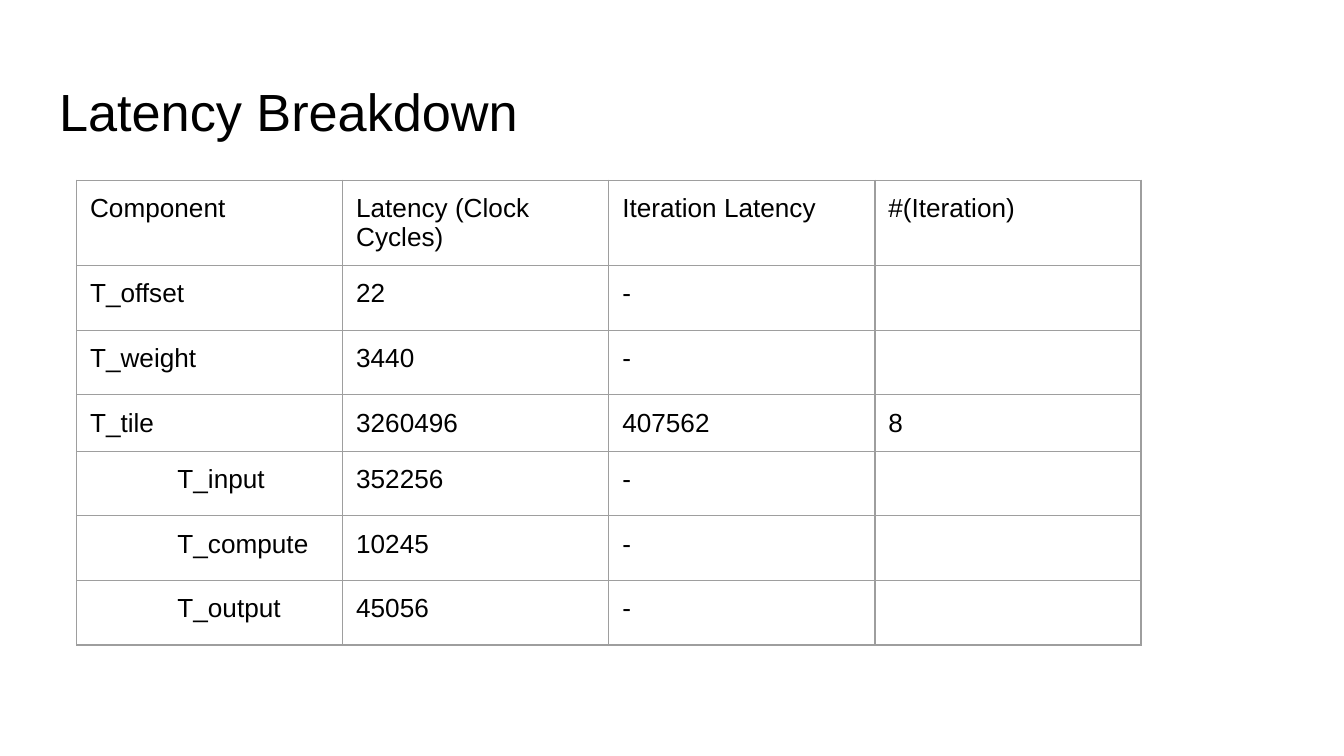
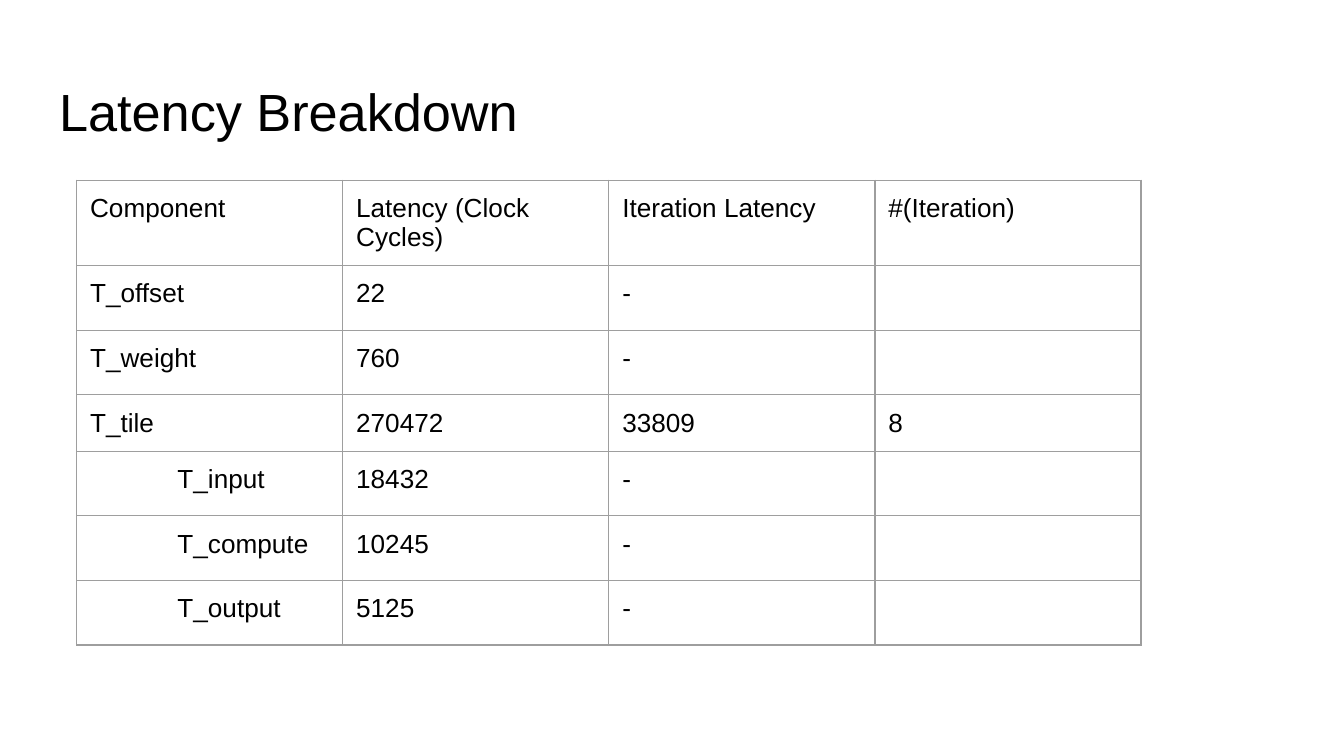
from lxml import etree
from pptx import Presentation
from pptx.dml.color import RGBColor
from pptx.enum.text import MSO_ANCHOR, MSO_AUTO_SIZE, PP_ALIGN
from pptx.oxml.ns import qn
from pptx.util import Inches, Pt

LEFT = PP_ALIGN.LEFT
TOP = MSO_ANCHOR.TOP
NO_FIT = MSO_AUTO_SIZE.NONE

TITLE = "Latency Breakdown"
HEADER = ("Component", "Latency (Clock Cycles)", "Iteration Latency", "#(Iteration)")
COMPONENTS = ("T_offset", "T_weight", "T_tile", "T_input", "T_compute", "T_output")
TILE_PARTS = ("T_input", "T_compute", "T_output")
BREAKDOWNS = [
    {
        "cycles": ("22", "3440", "3260496", "352256", "10245", "45056"),
        "tile_iteration": ("407562", "8"),
    },
    {
        "cycles": ("22", "760", "270472", "18432", "10245", "5125"),
        "tile_iteration": ("33809", "8"),
    },
]

COLORS = {"background": "FFFFFF", "text": "000000", "border": "9E9E9E"}
FONT = "Arial"
TITLE_SIZE, CELL_SIZE, EMPTY_SIZE = 28, 14, 18
SLIDE_WIDTH = 10
SLIDE_HEIGHT = SLIDE_WIDTH * 9 / 16
TITLE_LEFT, TITLE_TOP, TITLE_HEIGHT = 0.34, 0.49, 0.63
TABLE_LEFT, TABLE_TOP = 0.57, 1.34
COLUMN_WIDTH, ROW_HEIGHT = 1.98, 0.42
INSET, PART_INDENT = 0.1, 0.65
BORDER_WIDTH = 0.75


def format_runs(para, size):
    para.alignment = LEFT
    for span in para.runs:
        span.font.name = FONT
        span.font.size = Pt(size)
        span.font.color.rgb = RGBColor.from_string(COLORS["text"])


def set_insets(holder):
    holder.margin_left = holder.margin_right = Inches(INSET)
    holder.margin_top = holder.margin_bottom = Inches(INSET)
    holder.vertical_anchor = TOP


def add_title(page):
    title = page.shapes.title
    title.left, title.top = Inches(TITLE_LEFT), Inches(TITLE_TOP)
    title.width = Inches(SLIDE_WIDTH - 2 * TITLE_LEFT)
    title.height = Inches(TITLE_HEIGHT)
    frame = title.text_frame
    frame.text = TITLE
    frame.word_wrap = True
    frame.auto_size = NO_FIT
    set_insets(frame)
    format_runs(frame.paragraphs[0], TITLE_SIZE)


def set_borders(cell):
    properties = cell._tc.get_or_add_tcPr()
    for position, side in enumerate(("a:lnL", "a:lnR", "a:lnT", "a:lnB")):
        line = etree.Element(qn(side), w=str(Pt(BORDER_WIDTH)))
        fill = etree.SubElement(line, qn("a:solidFill"))
        etree.SubElement(fill, qn("a:srgbClr"), val=COLORS["border"])
        properties.insert(position, line)


def fill_cell(cell, text):
    set_insets(cell)
    cell.fill.background()
    set_borders(cell)
    para = cell.text_frame.paragraphs[0]
    if text:
        para.text = text
        format_runs(para, CELL_SIZE)
    else:
        ending = etree.SubElement(para._p, qn("a:endParaRPr"), sz=str(EMPTY_SIZE * 100))
        etree.SubElement(ending, qn("a:latin"), typeface=FONT)
    if text in TILE_PARTS:
        para._p.get_or_add_pPr().set("marL", str(Inches(PART_INDENT)))


def table_rows(breakdown):
    rows = [HEADER]
    for component, cycles in zip(COMPONENTS, breakdown["cycles"]):
        iteration = breakdown["tile_iteration"] if component == "T_tile" else ("-", "")
        rows.append((component, cycles, *iteration))
    return rows


def add_breakdown_table(page, breakdown):
    rows = table_rows(breakdown)
    table = page.shapes.add_table(
        len(rows), len(HEADER), Inches(TABLE_LEFT), Inches(TABLE_TOP),
        Inches(COLUMN_WIDTH * len(HEADER)), Inches(ROW_HEIGHT * len(rows)),
    ).table
    table.first_row = table.horz_banding = False
    for row_index, row in enumerate(rows):
        for column_index, text in enumerate(row):
            fill_cell(table.cell(row_index, column_index), text)


def main():
    deck = Presentation()
    deck.slide_width, deck.slide_height = Inches(SLIDE_WIDTH), Inches(SLIDE_HEIGHT)
    title_only = deck.slide_layouts.get_by_name("Title Only")
    background = deck.slide_master.background.fill
    background.solid()
    background.fore_color.rgb = RGBColor.from_string(COLORS["background"])
    for breakdown in BREAKDOWNS:
        page = deck.slides.add_slide(title_only)
        add_title(page)
        add_breakdown_table(page, breakdown)
    deck.save("out.pptx")


if __name__ == "__main__":
    main()
